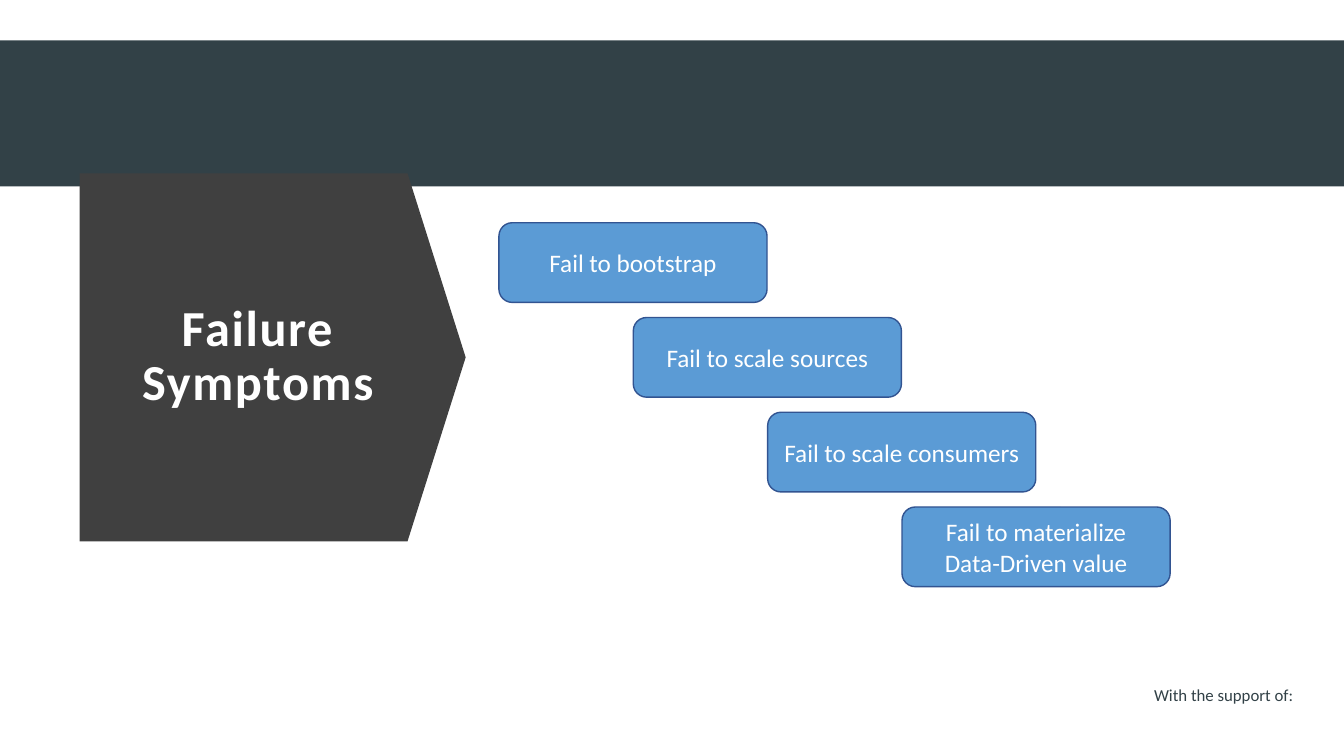
from pptx import Presentation
from pptx.dml.color import RGBColor
from pptx.enum.shapes import MSO_SHAPE
from pptx.enum.text import MSO_ANCHOR, MSO_AUTO_SIZE, PP_ALIGN
from pptx.util import Inches, Pt

RECT = MSO_SHAPE.RECTANGLE
ROUNDED = MSO_SHAPE.ROUNDED_RECTANGLE
DOWN_ARROW = MSO_SHAPE.DOWN_ARROW
MIDDLE = MSO_ANCHOR.MIDDLE
CENTER = PP_ALIGN.CENTER
NO_AUTOFIT = MSO_AUTO_SIZE.NONE

FONT = "Calibri"
SLATE = "324147"
CHARCOAL = "404040"
BLUE = "5B9BD5"
NAVY = "325491"
WHITE = "FFFFFF"

SYMPTOMS = [
    "Fail to bootstrap",
    "Fail to scale sources",
    "Fail to scale consumers",
    "Fail to materialize Data-Driven value",
]


def color(value):
    return RGBColor.from_string(value)


def set_text(shape, text, size, text_color, bold=False, wrap=True):
    tf = shape.text_frame
    tf.text = text
    tf.word_wrap = wrap
    tf.auto_size = NO_AUTOFIT
    tf.vertical_anchor = MIDDLE
    p = tf.paragraphs[0]
    p.alignment = CENTER
    p.font.name = FONT
    p.font.size = Pt(size)
    p.font.bold = bold
    p.font.color.rgb = color(text_color)
    return p


def add_shape(s, kind, left, top, width, height, fill, line=None):
    sp = s.shapes.add_shape(kind, Inches(left), Inches(top), Inches(width), Inches(height))
    sp.shadow.inherit = False
    sp.fill.solid()
    sp.fill.fore_color.rgb = color(fill)
    if line:
        sp.line.color.rgb = color(line)
        sp.line.width = Pt(1)
    else:
        sp.line.fill.background()
    return sp


def add_title_arrow(s, text):
    # A down arrow turned to point right
    arrow = add_shape(s, DOWN_ARROW, 0.88, 1.63, 3.65, 3.83, CHARCOAL)
    arrow.rotation = 270
    arrow.adjustments[0] = 1
    arrow.adjustments[1] = 0.158

    # Title in front of the arrow
    title = s.shapes.title
    arrow._element.addnext(title._element)
    title.left, title.top = Inches(1.12), Inches(2.15)
    title.width, title.height = Inches(2.88), Inches(2.79)
    p = set_text(title, text, 36, WHITE, bold=True)
    p.line_spacing = 0.9
    p.runs[0].font._element.set("spc", "120")


def add_staircase(s, labels):
    width, height = 2.66, 0.79
    for i, label in enumerate(labels):
        step = add_shape(s, ROUNDED, 4.95 + i * 1.333, 2.21 + i * 0.94,
                         width, height, BLUE, NAVY)
        set_text(step, label, 18, WHITE)


def add_footer(s, text):
    box = s.shapes.add_textbox(Inches(11.34), Inches(6.74), Inches(1.6), Inches(0.3))
    set_text(box, text, 12, SLATE, wrap=False)


def main():
    prs = Presentation()
    prs.slide_width, prs.slide_height = Inches(13.333), Inches(7.5)
    s = prs.slides.add_slide(prs.slide_layouts[5])

    # Header band and footer
    add_shape(s, RECT, 0, 0.4, 13.333, 1.45, SLATE)
    add_footer(s, "With the support of:")

    # Title and symptoms
    add_title_arrow(s, "Failure Symptoms")
    add_staircase(s, SYMPTOMS)

    prs.save("out.pptx")


if __name__ == "__main__":
    main()
